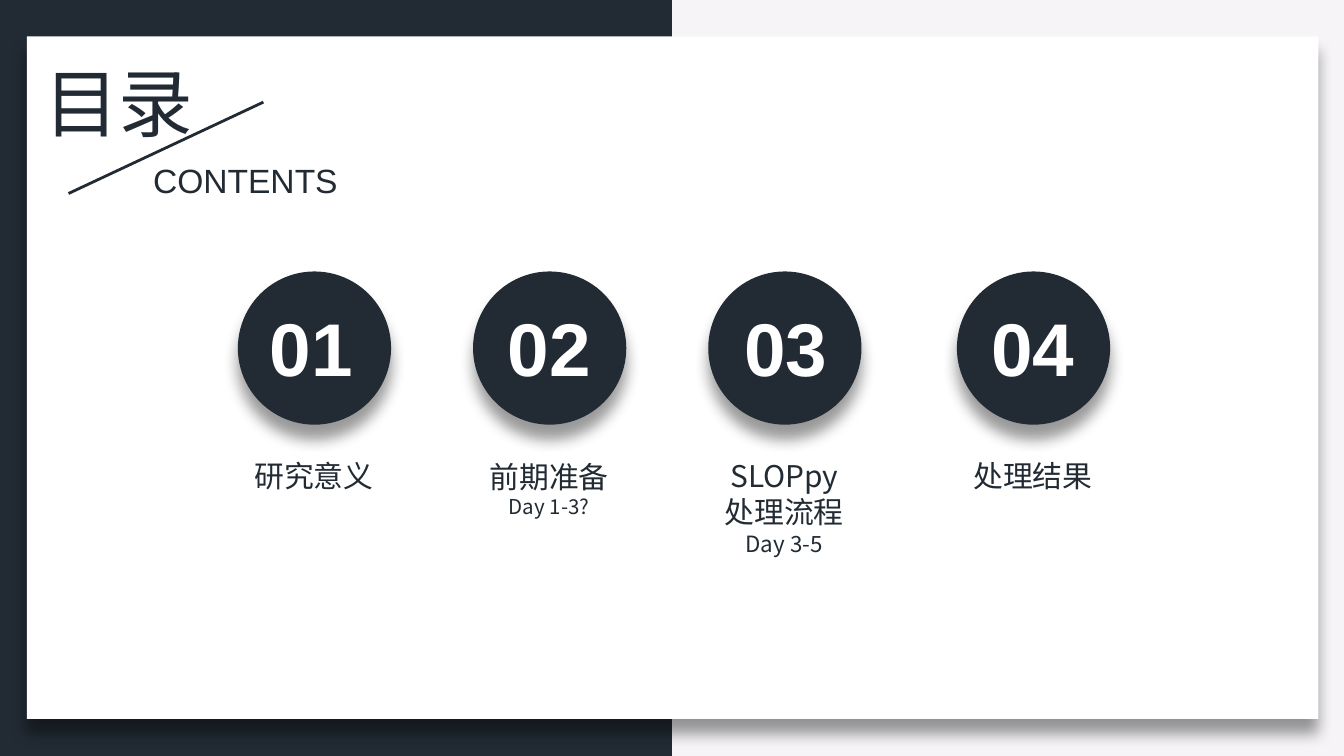
from dataclasses import dataclass

from lxml import etree
from pptx import Presentation
from pptx.dml.color import RGBColor
from pptx.enum.shapes import MSO_CONNECTOR, MSO_SHAPE as SHAPE
from pptx.enum.text import MSO_ANCHOR, MSO_AUTO_SIZE, PP_ALIGN as ALIGN
from pptx.oxml import parse_xml
from pptx.oxml.ns import nsdecls, qn
from pptx.util import Inches, Pt


@dataclass(frozen=True)
class Theme:
    dark: RGBColor = RGBColor(0x22, 0x2B, 0x34)
    pale: RGBColor = RGBColor(0xF6, 0xF4, 0xF7)
    white: RGBColor = RGBColor(0xFF, 0xFF, 0xFF)
    cjk: str = "Noto Sans CJK SC"
    latin: str = "Arial"
    title_font: str = "Calibri"
    title: int = 40
    subtitle: int = 18
    number: int = 40
    label: int = 16


T = Theme()
WIDTH = 10
HEIGHT = WIDTH * 9 / 16


def write(sp, box, lines, size, font=T.latin, color=T.dark, bold=False, align=ALIGN.LEFT):
    """Place a text shape and fill it; a line is a string or a (string, size) pair."""
    sp.left, sp.top, sp.width, sp.height = map(Inches, box)
    tf = sp.text_frame
    tf.word_wrap = False
    tf.auto_size = MSO_AUTO_SIZE.SHAPE_TO_FIT_TEXT
    tf.vertical_anchor = MSO_ANCHOR.TOP
    for i, line in enumerate(lines):
        text, pts = (line, size) if isinstance(line, str) else line
        p = tf.paragraphs[0] if i == 0 else tf.add_paragraph()
        p.alignment = align
        r = p.add_run()
        r.text = text
        r.font.size, r.font.name, r.font.bold = Pt(pts), font, bold
        r.font.color.rgb = color
        etree.SubElement(r.font._element, qn("a:ea")).set("typeface", T.cjk)


def add_block(kind, box, color, shadow=False):
    """Add a plain filled shape, optionally with a soft shadow below it."""
    sp = shapes.add_shape(kind, *map(Inches, box))
    sp.fill.solid()
    sp.fill.fore_color.rgb = color
    sp.line.fill.background()
    sp.shadow.inherit = False
    if shadow:
        effects = sp._element.spPr.find(qn("a:effectLst"))
        effects.append(parse_xml(
            f'<a:outerShdw {nsdecls("a")} blurRad="{Pt(8)}" dist="{Pt(8)}" dir="5400000" '
            'algn="t" rotWithShape="0"><a:srgbClr val="000000"><a:alpha val="40000"/>'
            '</a:srgbClr></a:outerShdw>'))


prs = Presentation()
prs.slide_width, prs.slide_height = Inches(WIDTH), Inches(HEIGHT)
s = prs.slides.add_slide(prs.slide_layouts[5])
shapes = s.shapes

# Two-tone background and white card
s.background.fill.solid()
s.background.fill.fore_color.rgb = T.pale
add_block(SHAPE.RECTANGLE, (0, 0, WIDTH / 2, HEIGHT), T.dark)
add_block(SHAPE.RECTANGLE, (0.2, 0.27, 9.61, 5.08), T.white, shadow=True)

# Heading, brought in front of the card, with slanted rule and subtitle
title = shapes.title
shapes._spTree.append(title._element)
write(title, (0.23, 0.37, 1.32, 0.77), ["目录"], T.title, font=T.title_font)
rule = shapes.add_connector(MSO_CONNECTOR.STRAIGHT, Inches(1.96), Inches(0.76),
                            Inches(0.51), Inches(1.44))
rule.line.color.rgb = T.dark
rule.line.width = Pt(1.5)
etree.SubElement(rule._element.spPr, qn("a:effectLst"))
write(shapes.add_textbox(0, 0, 0, 0), (1.04, 1.14, 1.59, 0.4), ["CONTENTS"], T.subtitle)

# Sections: circle left edge, number left edge, label height, label lines
sections = [
    (1.77, 1.9, 0.37, ["研究意义"]),
    (3.52, 3.67, 0.55, ["前期准备", ("Day 1-3?", 11)]),
    (5.27, 5.43, 0.84, ["SLOPpy", "处理流程", ("Day 3-5", 12)]),
    (7.12, 7.27, 0.37, ["处理结果"]),
]
for x, _, height, lines in sections:
    add_block(SHAPE.OVAL, (x, 2.02, 1.14, 1.14), T.dark, shadow=True)
    write(shapes.add_textbox(0, 0, 0, 0), (x + 0.02, 3.36, 1.09, height), lines,
          T.label, font=T.cjk, align=ALIGN.CENTER)

# Section numbers on the circles
for n, (_, x, _, _) in enumerate(sections, 1):
    write(shapes.add_textbox(0, 0, 0, 0), (x, 2.2, 0.83, 0.77), [f"{n:02}"],
          T.number, color=T.white, bold=True, align=ALIGN.CENTER)

prs.save("out.pptx")
